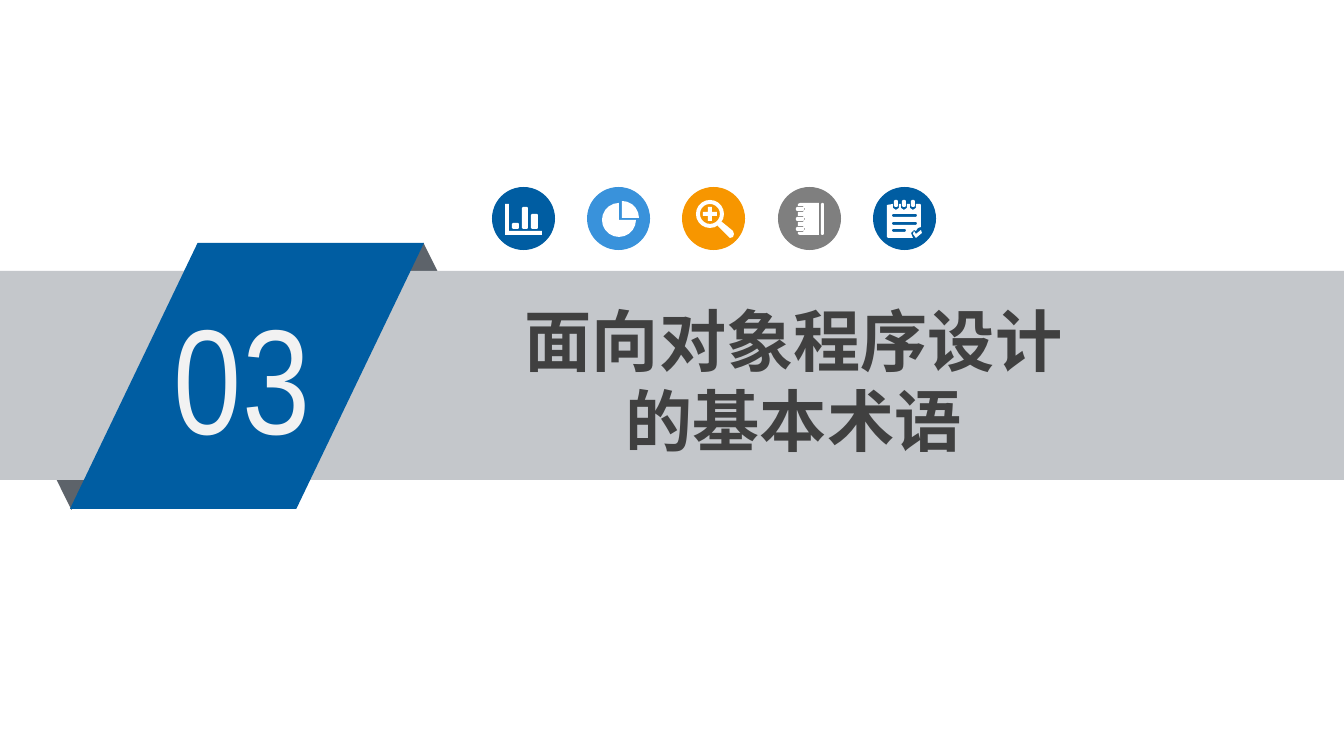
from math import cos, pi, sin

from lxml import etree
from pptx import Presentation
from pptx.dml.color import RGBColor
from pptx.enum.shapes import MSO_SHAPE
from pptx.enum.text import MSO_AUTO_SIZE, PP_ALIGN
from pptx.oxml.ns import qn
from pptx.util import Emu, Pt

RECTANGLE = MSO_SHAPE.RECTANGLE
TRIANGLE = MSO_SHAPE.ISOSCELES_TRIANGLE
PARALLELOGRAM = MSO_SHAPE.PARALLELOGRAM
OVAL = MSO_SHAPE.OVAL
LEFT, CENTER = PP_ALIGN.LEFT, PP_ALIGN.CENTER
FIT_SHAPE = MSO_AUTO_SIZE.SHAPE_TO_FIT_TEXT

EMU_PER_PX = 914400 / 134.4
SLIDE_WIDTH, SLIDE_HEIGHT = 1344, 756
COLORS = {
    "blue": "005DA2",
    "sky": "3992DB",
    "orange": "F79600",
    "gray": "7F7F7F",
    "band": "C4C7CB",
    "fold": "5D636A",
    "title": "404040",
    "number": "F2F2F2",
    "white": "FFFFFF",
}
NUMBER_FONT, TITLE_FONT = "Arial Narrow", "Noto Sans CJK SC"
ICON_LEFT, ICON_TOP, ICON_SIZE, ICON_STEP = 492, 187, 63, 95.25


def px(value):
    return Emu(round(value * EMU_PER_PX))


def arc(x, y, radius, start=0, end=360, step=18):
    """Points along a circular arc, with angles in degrees."""
    angles = [angle * pi / 180 for angle in range(start, end + 1, step)]
    return [(x + radius * cos(angle), y + radius * sin(angle)) for angle in angles]


def sector(x, y, radius, start, end):
    return [(x, y)] + arc(x, y, radius, start, end)


def soft_bar(left, top, width, height, radius=1):
    """Outline points of a rectangle with cut corners."""
    right, bottom = left + width - radius, top + height - radius
    corners = [(right, bottom), (left + radius, bottom),
               (left + radius, top + radius), (right, top + radius)]
    return [point for i, (x, y) in enumerate(corners)
            for point in arc(x, y, radius, 90 * i, 90 * i + 90, 90)]


def bar_chart_icon():
    axes = [(13, 17), (17, 17), (17, 44), (50, 44), (50, 48), (13, 48)]
    bars = [(20, 36, 7, 6), (30, 20, 6, 22), (39, 27, 7, 15)]
    return [axes] + [soft_bar(*bar) for bar in bars]


def pie_chart_icon():
    return [sector(35, 31, 17, 270, 360), sector(32, 33, 17, 0, 270)]


def magnifier_icon():
    x, y, arm, half = 28, 27, 7, 2
    plus = [(x - arm, y - half), (x - half, y - half), (x - half, y - arm),
            (x + half, y - arm), (x + half, y - half), (x + arm, y - half),
            (x + arm, y + half), (x + half, y + half), (x + half, y + arm),
            (x - half, y + arm), (x - half, y + half), (x - arm, y + half)]
    handle = [(36, 39), (40, 35), (51, 44), (52, 47), (51, 50), (48, 51)]
    return [arc(x, y, 14), arc(x, y, 10), plus, handle]


def notebook_icon():
    rings = [22, 32, 42]
    cover = [(20, 17), (22, 16), (41, 16), (41, 48), (22, 48), (20, 47)]
    for y in reversed(rings):
        cover += [(20, y + 3), (25, y + 3), (27, y), (25, y - 3), (20, y - 3)]
    return [cover, soft_bar(43, 16, 3, 32)] + [
        soft_bar(18, y - 2, 8, 4) for y in rings]


def checklist_icon():
    rings = [23, 31, 40]
    sheet = [(14, 18)]
    for x in rings:
        sheet += [(x - 3, 17), (x - 3, 21), (x, 23), (x + 3, 21), (x + 3, 17)]
    sheet += [(47, 17), (48, 18), (48, 40), (45, 41), (43, 44), (41, 43),
              (38, 46), (40, 51), (15, 51), (14, 50)]
    check = [(40, 47), (41, 44), (43, 47), (48, 43), (49, 46), (43, 51)]
    lines = [(19, 27, 25, 3), (19, 35, 25, 3), (19, 42, 14, 3)]
    return ([sheet, check] + [soft_bar(*line) for line in lines]
            + [soft_bar(x - 2, 13, 4, 7) for x in rings])


class SlideBuilder:
    def __init__(self, slide, colors):
        self.slide = slide
        self.colors = colors

    def color(self, name):
        return RGBColor.from_string(self.colors[name])

    def group(self):
        return self.slide.shapes.add_group_shape().shapes

    def paint(self, shape, fill):
        shape.shadow.inherit = False
        shape.fill.solid()
        shape.fill.fore_color.rgb = self.color(fill)
        shape.line.fill.background()

    def shape(self, shapes, kind, left, top, width, height, fill):
        shape = shapes.add_shape(kind, px(left), px(top), px(width), px(height))
        self.paint(shape, fill)
        return shape

    def outline(self, shapes, left, top, contours, fill):
        """Draw contours as one freeform; inner contours become holes."""
        placed = [[(px(left + x), px(top + y)) for x, y in contour]
                  for contour in contours]
        builder = shapes.build_freeform(*placed[0][0], scale=1.0)
        for index, contour in enumerate(placed):
            if index:
                builder.move_to(*contour[0])
            builder.add_line_segments(contour[1:], close=True)
        self.paint(builder.convert_to_shape(), fill)

    def icon(self, left, top, fill, contours):
        shapes = self.group()
        self.shape(shapes, OVAL, left, top, ICON_SIZE, ICON_SIZE, fill)
        self.outline(shapes, left, top, contours, "white")

    def text(self, shapes, lines, left, top, width, height, *, font, size, color,
             bold=False, align=LEFT, inset=10):
        box = shapes.add_textbox(px(left), px(top), px(width), px(height))
        frame = box.text_frame
        frame.word_wrap = True
        frame.auto_size = FIT_SHAPE
        frame.margin_left = frame.margin_right = px(inset)
        frame.margin_top = frame.margin_bottom = px(5)
        frame.text = "\n".join(lines)
        for paragraph in frame.paragraphs:
            paragraph.alignment = align
            for run in paragraph.runs:
                run.font.name = font
                run.font.size = Pt(size)
                run.font.bold = bold
                run.font.color.rgb = self.color(color)
                east_asian = etree.SubElement(run.font._element, qn("a:ea"))
                east_asian.set("typeface", font)


def main():
    presentation = Presentation()
    presentation.slide_width = px(SLIDE_WIDTH)
    presentation.slide_height = px(SLIDE_HEIGHT)
    slide = presentation.slides.add_slide(presentation.slide_layouts[6])
    builder = SlideBuilder(slide, COLORS)

    banner = builder.group()
    builder.shape(banner, TRIANGLE, 363, 243, 121, 122, "fold")
    lower_fold = builder.shape(banner, TRIANGLE, 11, 388, 121, 122, "fold")
    lower_fold._element.spPr.get_or_add_xfrm().set("flipV", "1")
    builder.shape(banner, RECTANGLE, 0, 271, SLIDE_WIDTH, 209, "band")
    ribbon = builder.shape(banner, PARALLELOGRAM, 70, 243, 354, 266, "blue")
    ribbon.adjustments[0] = 0.48
    builder.text(banner, ["03"], 164, 280, 195, 191,
                 font=NUMBER_FONT, size=80, color="number")
    builder.text(slide.shapes, ["面向对象程序设计", "的基本术语"], 407, 294, 773, 173,
                 font=TITLE_FONT, size=36, color="title", bold=True,
                 align=CENTER, inset=11)

    icons = [("blue", bar_chart_icon), ("sky", pie_chart_icon),
             ("orange", magnifier_icon), ("gray", notebook_icon),
             ("blue", checklist_icon)]
    for index, (fill, draw) in enumerate(icons):
        builder.icon(round(ICON_LEFT + index * ICON_STEP), ICON_TOP, fill, draw())

    presentation.save("out.pptx")


if __name__ == "__main__":
    main()
